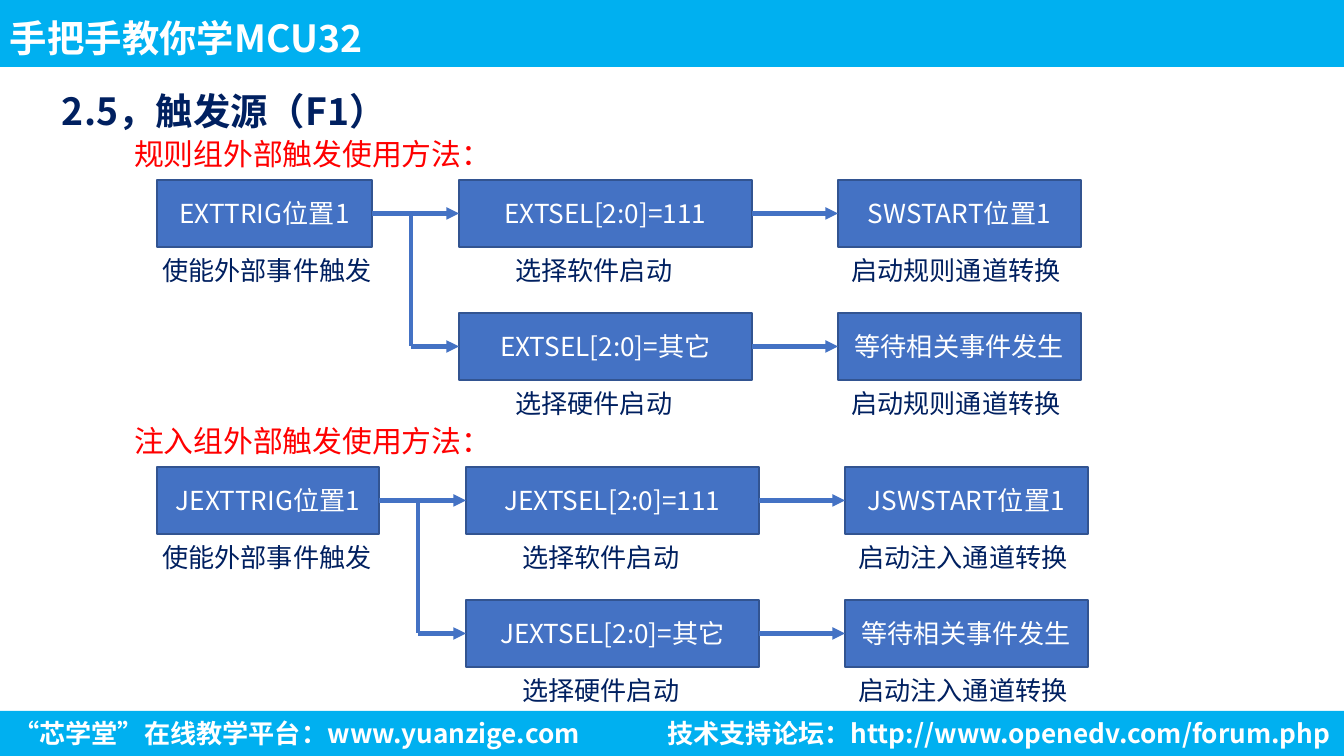
import pptx
import pptx.util
import pptx.dml.color
import pptx.enum.shapes
import pptx.enum.text
import pptx.oxml.ns
import lxml.etree

RGB = pptx.dml.color.RGBColor
SKY = RGB(0x00, 0xB0, 0xF0)
NAVY = RGB(0x00, 0x20, 0x60)
RED = RGB(0xFF, 0x00, 0x00)
BLUE = RGB(0x44, 0x72, 0xC4)
EDGE = RGB(0x32, 0x54, 0x91)
WHITE = RGB(0xFF, 0xFF, 0xFF)
FONT = "Noto Sans CJK SC"
KIND = pptx.enum.shapes.MSO_SHAPE.RECTANGLE
LINE = pptx.enum.shapes.MSO_CONNECTOR.STRAIGHT
ALIGN = pptx.enum.text.PP_ALIGN
ANCHOR = pptx.enum.text.MSO_ANCHOR

WIDE, HIGH = 1344, 756
HEAD = "手把手教你学MCU32"
TITLE = "2.5，触发源（F1）"
SITE = "“芯学堂”在线教学平台：www.yuanzige.com"
FORUM = "技术支持论坛：http://www.openedv.com/forum.php"

# Each box is (label, caption); each row is (choice, action).
GROUPS = [
    {"head": "规则组外部触发使用方法：", "top": 129, "shift": 0,
     "start": ("EXTTRIG位置1", "使能外部事件触发"),
     "rows": [
         [("EXTSEL[2:0]=111", "选择软件启动"), ("SWSTART位置1", "启动规则通道转换")],
         [("EXTSEL[2:0]=其它", "选择硬件启动"), ("等待相关事件发生", "启动规则通道转换")]]},
    {"head": "注入组外部触发使用方法：", "top": 416, "shift": 7,
     "start": ("JEXTTRIG位置1", "使能外部事件触发"),
     "rows": [
         [("JEXTSEL[2:0]=111", "选择软件启动"), ("JSWSTART位置1", "启动注入通道转换")],
         [("JEXTSEL[2:0]=其它", "选择硬件启动"), ("等待相关事件发生", "启动注入通道转换")]]},
]
START = (157, 215, -8)  # left, width, caption offset
COLS = [(459, 293, 43), (838, 243, 0)]
BOX, PITCH, DROP = 67, 133, 51
STEM = 48  # from the branch to the choice boxes


def px(n):
    return round(n * 914400 / 134.4)


def write(shape, text, size=14, color=NAVY, bold=False, align=ALIGN.LEFT,
          anchor=ANCHOR.TOP, space=None, inset=None):
    frame = shape.text_frame
    frame.word_wrap = True
    frame.auto_size = pptx.enum.text.MSO_AUTO_SIZE.NONE
    frame.vertical_anchor = anchor
    if inset:
        frame.margin_left = frame.margin_right = px(inset[0])
        frame.margin_top = frame.margin_bottom = px(inset[1])
    par = frame.paragraphs[0]
    par.alignment = align
    if space:
        par.line_spacing = space
    run = par.add_run()
    run.text = text
    font = run.font
    font.name, font.size, font.bold = FONT, pptx.util.Pt(size), bold
    font.color.rgb = color
    east = lxml.etree.SubElement(font._element, pptx.oxml.ns.qn("a:ea"))
    east.set("typeface", FONT)


def rect(x, y, w, h, fill, edge=None):
    shape = slide.shapes.add_shape(KIND, px(x), px(y), px(w), px(h))
    shape.shadow.inherit = False
    shape.fill.solid()
    shape.fill.fore_color.rgb = fill
    if edge is None:
        shape.line.fill.background()
    else:
        shape.line.color.rgb = edge
        shape.line.width = pptx.util.Pt(1)
    return shape


def label(x, y, w, h, text, **form):
    write(slide.shapes.add_textbox(px(x), px(y), px(w), px(h)), text, **form)


def node(x, y, w, gap, texts):
    """Draw a box with its caption below."""
    shape = rect(x, y, w, BOX, BLUE, EDGE)
    write(shape, texts[0], color=WHITE, align=ALIGN.CENTER, anchor=ANCHOR.MIDDLE)
    label(x + gap, y + BOX + 1, 293, 46, texts[1])
    return shape


def link(x1, y1, x2, y2, begin=None, end=None, arrow=True):
    """Draw a line, joined to the right of begin and the left of end."""
    line = slide.shapes.add_connector(LINE, px(x1), px(y1), px(x2), px(y2))
    if begin is not None:
        line.begin_connect(begin, 3)
    if end is not None:
        line.end_connect(end, 1)
    line.line.color.rgb = BLUE
    line.line.width = pptx.util.Pt(2.25)
    if arrow:
        tail = lxml.etree.SubElement(line.line._get_or_add_ln(),
                                     pptx.oxml.ns.qn("a:tailEnd"))
        tail.set("type", "triangle")
    lxml.etree.SubElement(line._element.spPr, pptx.oxml.ns.qn("a:effectLst"))


def draw(group):
    top, shift = group["top"], group["shift"]
    label(121, top, 681, 50, group["head"], size=16, color=RED)
    y = top + DROP
    left, width, gap = START
    start = node(left, y, width + shift, gap, group["start"])
    branch = COLS[0][0] + shift - STEM
    mids = [y + BOX / 2 + i * PITCH for i in range(len(group["rows"]))]
    link(branch, mids[0], branch, mids[-1], arrow=False)
    for i, (row, mid) in enumerate(zip(group["rows"], mids)):
        choice, action = [node(x + shift, y + i * PITCH, w, g, texts)
                          for (x, w, g), texts in zip(COLS, row)]
        link(branch, mid, COLS[0][0] + shift, mid,
             begin=start if i == 0 else None, end=choice)
        link(0, mid, 0, mid, begin=choice, end=action)


deck = pptx.Presentation()
deck.slide_width, deck.slide_height = px(WIDE), px(HIGH)
slide = deck.slides.add_slide(deck.slide_layouts[5])

rect(0, 711, WIDE, 45, SKY)
rect(0, 0, WIDE, 67, SKY)
bright = {"color": WHITE, "bold": True}
label(0, 0, 867, 67, HEAD, size=20, anchor=ANCHOR.MIDDLE, space=1.2,
      inset=(10, 5), **bright)
label(0, 711, 790, 45, SITE, **bright)
label(488, 711, 856, 45, FORUM, align=ALIGN.RIGHT, **bright)

title = slide.shapes.title
title.left, title.top, title.width, title.height = map(px, (55, 63, 867, 67))
write(title, TITLE, size=20, bold=True, space=1.5, inset=(7, 3))

for group in GROUPS:
    draw(group)

deck.save("out.pptx")
